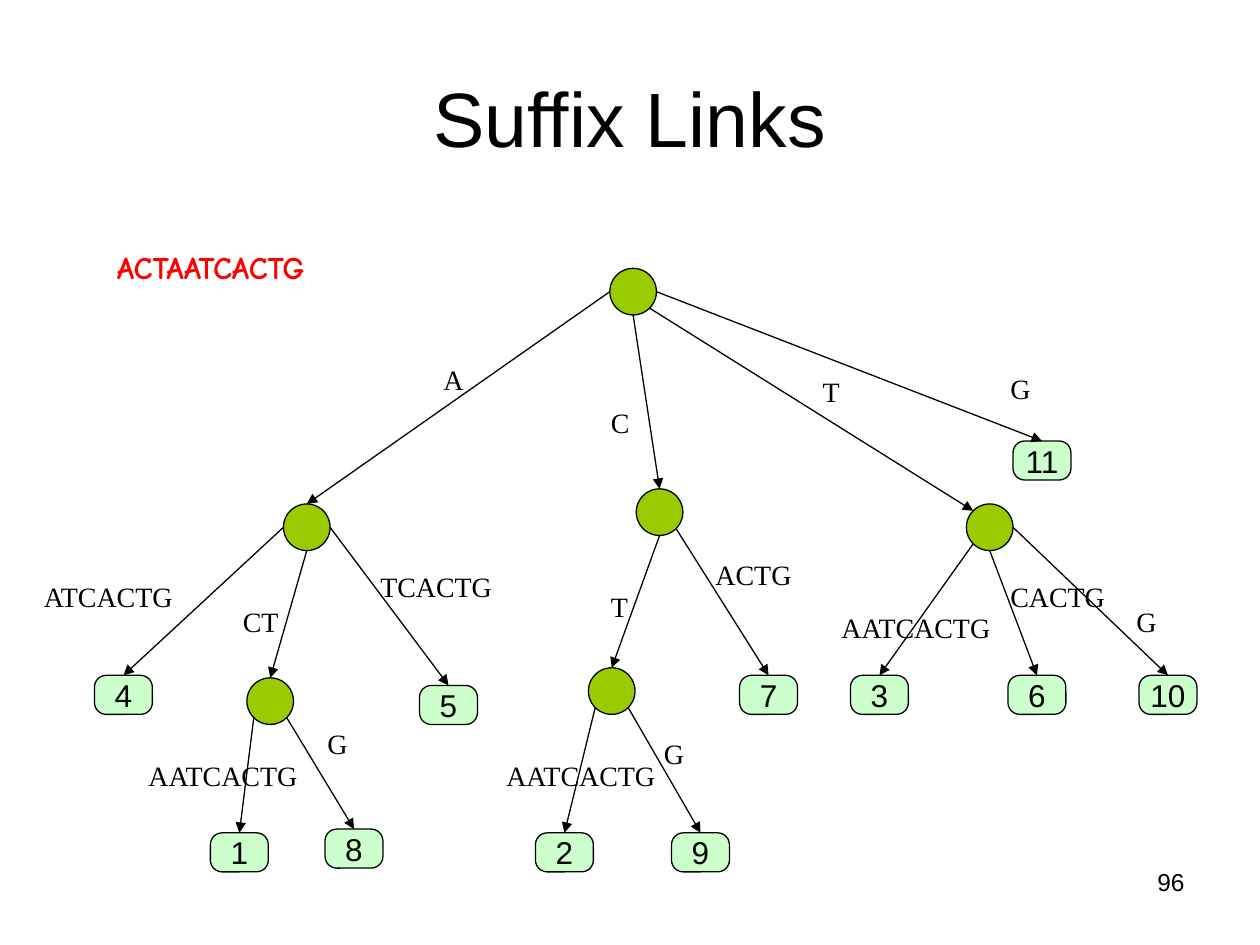
from dataclasses import dataclass
from math import sqrt

from lxml import etree
from pptx import Presentation
from pptx.dml.color import RGBColor
from pptx.enum import shapes as kinds, text as styles
from pptx.oxml import ns
from pptx.util import Inches, Pt

BLACK = RGBColor(0x00, 0x00, 0x00)
RED = RGBColor(0xFF, 0x00, 0x00)
NODE_GREEN = RGBColor(0x99, 0xCC, 0x00)
LEAF_GREEN = RGBColor(0xCC, 0xFF, 0xCC)

NODE_SIZE = 0.37
LEAF_WIDTH, LEAF_HEIGHT = 0.46, 0.31
LABEL_HEIGHT = 0.37
DIAGONAL = 1 / sqrt(2)

TOP = (0, -1)
LEFT = (-1, 0)
RIGHT = (1, 0)
BOTTOM = (0, 1)
TOP_LEFT = (-DIAGONAL, -DIAGONAL)
BOTTOM_LEFT = (-DIAGONAL, DIAGONAL)
BOTTOM_RIGHT = (DIAGONAL, DIAGONAL)


@dataclass(frozen=True)
class Vertex:
    left: float
    top: float
    number: str = ""

    @property
    def size(self) -> tuple[float, float]:
        return (LEAF_WIDTH, LEAF_HEIGHT) if self.number else (NODE_SIZE, NODE_SIZE)

    def site(self, direction: tuple[float, float]) -> tuple[float, float]:
        width, height = self.size
        return (self.left + width / 2 * (1 + direction[0]),
                self.top + height / 2 * (1 + direction[1]))


@dataclass(frozen=True)
class Edge:
    parent: str
    child: str
    leaving: tuple[float, float]
    label: str
    label_left: float
    label_top: float
    label_width: float
    arriving: tuple[float, float] = TOP


@dataclass(frozen=True)
class Style:
    font: str
    size: float
    color: RGBColor = BLACK
    bold: bool = False
    align: styles.PP_ALIGN = styles.PP_ALIGN.LEFT
    anchor: styles.MSO_ANCHOR = styles.MSO_ANCHOR.TOP
    wrap: bool = True


CENTER, MIDDLE = styles.PP_ALIGN.CENTER, styles.MSO_ANCHOR.MIDDLE
TITLE = Style("Arial", 44, align=CENTER, anchor=MIDDLE)
LEAF = Style("Arial", 18, align=CENTER, anchor=MIDDLE, wrap=False)
LABEL = Style("Times New Roman", 16)
SEQUENCE = Style("Comic Neue", 18, color=RED, bold=True)
PAGE = Style("Arial", 14, align=styles.PP_ALIGN.RIGHT)

INNER_NODES = {
    "root": Vertex(4.84, 2.13),
    "A": Vertex(2.25, 4),
    "C": Vertex(5.05, 3.88),
    "T": Vertex(7.67, 4),
    "ACT": Vertex(1.96, 5.38),
    "CT": Vertex(4.67, 5.3),
}
LEAF_PLACES = [
    (1.67, 6.61), (4.25, 6.61), (6.75, 5.36), (0.75, 5.36), (3.33, 5.44), (8, 5.36),
    (5.87, 5.36), (2.58, 6.58), (5.33, 6.61), (9.04, 5.36), (8.04, 3.5),
]
LEAVES = {str(number): Vertex(left, top, str(number))
          for number, (left, top) in enumerate(LEAF_PLACES, start=1)}
VERTICES = INNER_NODES | LEAVES

EDGES = [
    Edge("root", "A", LEFT, "A", 3.42, 2.83, 0.67),
    Edge("root", "C", BOTTOM, "C", 4.75, 3.17, 0.58),
    Edge("root", "T", BOTTOM_RIGHT, "T", 6.43, 2.92, 1.07, TOP_LEFT),
    Edge("root", "11", RIGHT, "G", 7.92, 2.9, 0.67),
    Edge("A", "4", LEFT, "ATCACTG", 0.25, 4.55, 1.33),
    Edge("A", "ACT", BOTTOM, "CT", 1.83, 4.75, 1),
    Edge("A", "5", RIGHT, "TCACTG", 2.92, 4.47, 1.17),
    Edge("C", "CT", BOTTOM, "T", 4.75, 4.63, 1.58),
    Edge("C", "7", BOTTOM_RIGHT, "ACTG", 5.58, 4.38, 0.92),
    Edge("T", "3", BOTTOM_LEFT, "AATCACTG", 6.58, 4.8, 1.57),
    Edge("T", "6", BOTTOM, "CACTG", 7.92, 4.55, 1.07),
    Edge("T", "10", RIGHT, "G", 8.92, 4.75, 0.67),
    Edge("ACT", "1", BOTTOM_LEFT, "AATCACTG", 1.08, 5.97, 1.75),
    Edge("ACT", "8", BOTTOM_RIGHT, "G", 2.5, 5.72, 0.67),
    Edge("CT", "2", BOTTOM_LEFT, "AATCACTG", 3.92, 5.97, 1.58),
    Edge("CT", "9", BOTTOM_RIGHT, "G", 5.17, 5.8, 0.67),
]


def write(shape, content: str, style: Style) -> None:
    frame = shape.text_frame
    frame.word_wrap = style.wrap
    frame.vertical_anchor = style.anchor
    paragraph = frame.paragraphs[0]
    paragraph.alignment = style.align
    run = paragraph.add_run()
    run.text = content
    run.font.name = style.font
    run.font.size = Pt(style.size)
    run.font.bold = style.bold
    run.font.color.rgb = style.color


def add_text(slide, left: float, top: float, width: float, height: float,
             content: str, style: Style) -> None:
    box = slide.shapes.add_textbox(Inches(left), Inches(top), Inches(width), Inches(height))
    write(box, content, style)


def add_vertex(slide, vertex: Vertex) -> None:
    is_leaf = bool(vertex.number)
    preset = kinds.MSO_SHAPE.ROUNDED_RECTANGLE if is_leaf else kinds.MSO_SHAPE.OVAL
    width, height = vertex.size
    shape = slide.shapes.add_shape(preset, Inches(vertex.left), Inches(vertex.top),
                                   Inches(width), Inches(height))
    shape.shadow.inherit = False
    shape.fill.solid()
    shape.fill.fore_color.rgb = LEAF_GREEN if is_leaf else NODE_GREEN
    shape.line.color.rgb = BLACK
    shape.line.width = Pt(0.75)
    if is_leaf:
        shape.adjustments[0] = 0.3
        write(shape, vertex.number, LEAF)


def add_edge(slide, edge: Edge) -> None:
    start = VERTICES[edge.parent].site(edge.leaving)
    end = VERTICES[edge.child].site(edge.arriving)
    connector = slide.shapes.add_connector(
        kinds.MSO_CONNECTOR.STRAIGHT, *(Inches(value) for value in start + end))
    connector.line.color.rgb = BLACK
    connector.line.width = Pt(0.75)
    properties = connector._element.spPr
    outline = properties.find(ns.qn("a:ln"))
    etree.SubElement(outline, ns.qn("a:tailEnd"), type="triangle")
    etree.SubElement(properties, ns.qn("a:effectLst"))
    add_text(slide, edge.label_left, edge.label_top, edge.label_width, LABEL_HEIGHT,
             edge.label, LABEL)


def main() -> None:
    presentation = Presentation()
    presentation.slide_width = Inches(10)
    presentation.slide_height = Inches(7.5)
    slide = presentation.slides.add_slide(presentation.slide_layouts[6])
    add_text(slide, 0.5, 0.3, 9, 1.25, "Suffix Links", TITLE)
    add_text(slide, 0.83, 1.92, 2.33, 0.4, "ACTAATCACTG", SEQUENCE)
    for vertex in VERTICES.values():
        add_vertex(slide, vertex)
    for edge in EDGES:
        add_edge(slide, edge)
    add_text(slide, 7.17, 6.83, 2.33, 0.52, "96", PAGE)
    presentation.save("out.pptx")


if __name__ == "__main__":
    main()
